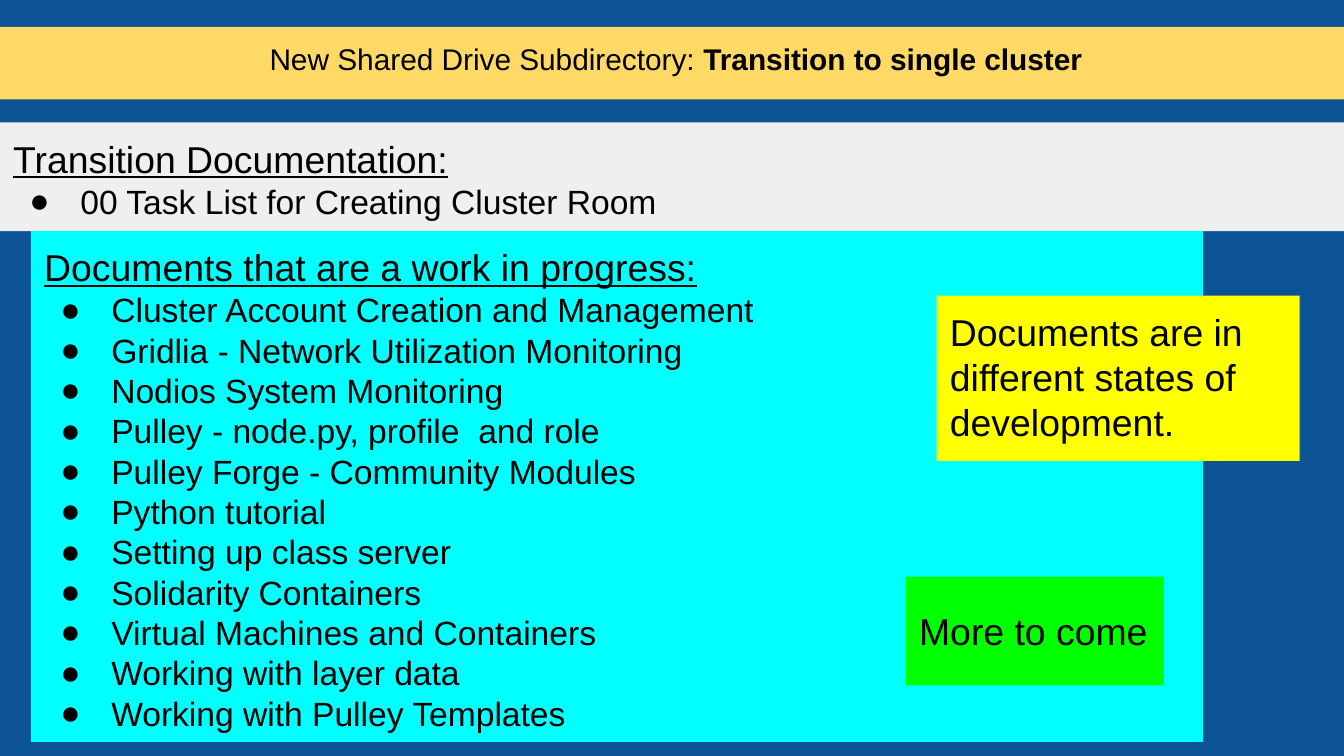
"""Build the slide listing the transition documents."""
from lxml.etree import SubElement
from pptx import Presentation
from pptx.dml.color import RGBColor
from pptx.enum.shapes import MSO_SHAPE
from pptx.enum.text import MSO_ANCHOR, PP_ALIGN
from pptx.oxml.ns import qn
from pptx.util import Inches, Pt

BLACK = RGBColor(0x00, 0x00, 0x00)
BLUE = RGBColor(0x0B, 0x53, 0x94)
GRAY = RGBColor(0xEF, 0xEF, 0xEF)
CYAN = RGBColor(0x00, 0xFF, 0xFF)
GOLD = RGBColor(0xFF, 0xD9, 0x66)
YELLOW = RGBColor(0xFF, 0xFF, 0x00)
GREEN = RGBColor(0x00, 0xFF, 0x00)

FONT = "Arial"
TITLE = {"size": Pt(16)}
TITLE_BOLD = {"size": Pt(16), "bold": True}
HEADING = {"size": Pt(20), "underline": True}
ITEM = {"size": Pt(18)}
NOTE = {"size": Pt(20)}

TRANSITION_ITEMS = ["00 Task List for Creating Cluster Room"]
PROGRESS_ITEMS = [
    "Cluster Account Creation and Management",
    "Gridlia - Network Utilization Monitoring",
    "Nodios System Monitoring",
    "Pulley - node.py, profile  and role",
    "Pulley Forge - Community Modules",
    "Python tutorial",
    "Setting up class server",
    "Solidarity Containers",
    "Virtual Machines and Containers",
    "Working with layer data",
    "Working with Pulley Templates",
]

PANELS = [
    {"box": (0, 0.91, 10.06, 0.81), "fill": GRAY,
     "runs": [("Transition Documentation:", HEADING)], "items": TRANSITION_ITEMS},
    {"box": (0.23, 1.72, 8.72, 3.8), "fill": CYAN,
     "runs": [("Documents that are a work in progress:", HEADING)], "items": PROGRESS_ITEMS},
    {"box": (0, 0.2, 10.06, 0.54), "fill": GOLD, "align": PP_ALIGN.CENTER,
     "runs": [("New Shared Drive Subdirectory: ", TITLE),
              ("Transition to single cluster", TITLE_BOLD)]},
    {"box": (6.97, 2.2, 2.7, 1.23), "fill": YELLOW,
     "runs": [("Documents are in different states of development.", NOTE)]},
    {"box": (6.74, 4.29, 1.92, 0.81), "fill": GREEN, "anchor": MSO_ANCHOR.MIDDLE,
     "runs": [("More to come", NOTE)]},
]


def add_run(paragraph, text, formats):
    run = paragraph.add_run()
    run.text = text
    run.font.name = FONT
    run.font.color.rgb = BLACK
    for name, value in formats.items():
        setattr(run.font, name, value)


def add_bullet(paragraph):
    properties = paragraph._p.get_or_add_pPr()
    properties.set("marL", str(Inches(0.5)))
    properties.set("indent", str(Inches(-0.38)))
    color = SubElement(properties, qn("a:buClr"))
    SubElement(color, qn("a:srgbClr"), val=str(BLACK))
    SubElement(properties, qn("a:buSzPct"), val="100000")
    SubElement(properties, qn("a:buFont"), typeface=FONT)
    SubElement(properties, qn("a:buChar"), char="●")


def add_panel(slide, panel):
    shape = slide.shapes.add_shape(MSO_SHAPE.RECTANGLE, *map(Inches, panel["box"]))
    shape.shadow.inherit = False
    shape.fill.solid()
    shape.fill.fore_color.rgb = panel["fill"]
    shape.line.fill.background()
    frame = shape.text_frame
    frame.word_wrap = True
    frame.vertical_anchor = panel.get("anchor", MSO_ANCHOR.TOP)
    for side in ("left", "top", "right", "bottom"):
        setattr(frame, f"margin_{side}", Inches(0.1))
    paragraph = frame.paragraphs[0]
    paragraph.alignment = panel.get("align", PP_ALIGN.LEFT)
    for text, formats in panel["runs"]:
        add_run(paragraph, text, formats)
    for item in panel.get("items", []):
        paragraph = frame.add_paragraph()
        paragraph.alignment = PP_ALIGN.LEFT
        add_bullet(paragraph)
        add_run(paragraph, item, ITEM)


def main():
    presentation = Presentation()
    presentation.slide_width = Inches(10)
    presentation.slide_height = Inches(10) * 9 // 16
    slide = presentation.slides.add_slide(presentation.slide_layouts[6])
    slide.background.fill.solid()
    slide.background.fill.fore_color.rgb = BLUE
    for panel in PANELS:
        add_panel(slide, panel)
    presentation.save("out.pptx")


if __name__ == "__main__":
    main()
